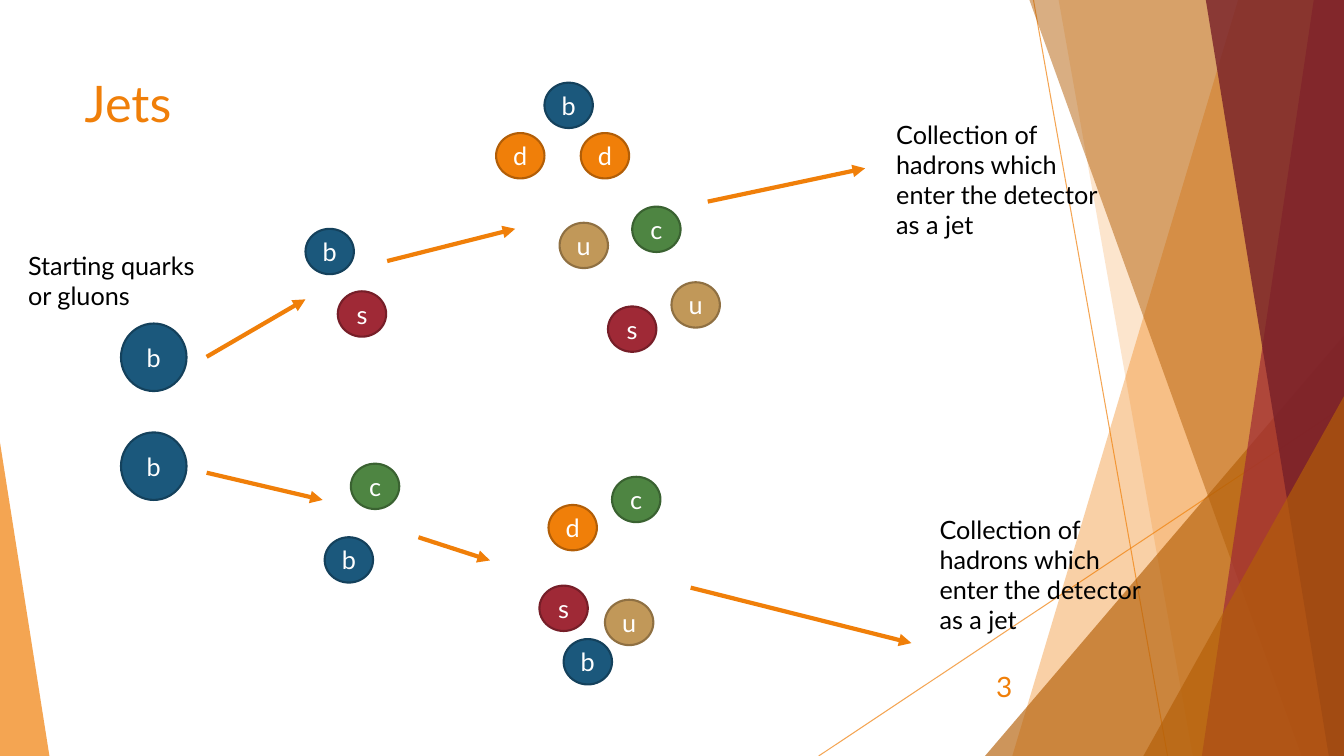
from lxml.etree import SubElement
from pptx import Presentation
from pptx.dml.color import RGBColor
from pptx.enum.shapes import MSO_CONNECTOR, MSO_SHAPE
from pptx.enum.text import MSO_ANCHOR, PP_ALIGN
from pptx.oxml.ns import qn
from pptx.util import Inches, Pt

FONT = "Lato"
ORANGE, BROWN, RED, MAROON = "F07F09", "B45F07", "9F2936", "771F28"
FLAVOURS = {
    "b": ("1B587C", "14415C"),
    "c": ("4E8542", "3A6231"),
    "d": (ORANGE, "B25E07"),
    "s": (RED, "761E28"),
    "u": ("C19859", "8F7042"),
}
STARTING_QUARKS = [("b", 1.2, 3.21), ("b", 1.2, 4.29)]
SHOWER_QUARKS = [
    ("b", 3.03, 2.27), ("s", 3.35, 2.89), ("c", 3.48, 4.6), ("b", 3.22, 5.33),
    ("b", 5.4, 0.82), ("d", 4.92, 1.32), ("d", 5.76, 1.32), ("u", 5.55, 2.21),
    ("c", 6.27, 2.05), ("s", 6.03, 3.04), ("u", 6.66, 2.8),
    ("c", 6.07, 4.73), ("d", 5.44, 5.01), ("u", 6, 5.95), ("s", 5.35, 5.81),
    ("b", 5.59, 6.34),
]
ARROWS = [
    (2.05, 3.54, 3.03, 2.97), (2.05, 4.69, 3.2, 4.96),
    (3.84, 2.59, 5.11, 2.27), (4.15, 5.33, 4.86, 5.56),
    (7.02, 2, 8.58, 1.67), (6.85, 5.83, 9.04, 6.38),
]
JET_LABEL = "Collection of hadrons which enter the detector as a jet"
LABELS = [
    ("Starting quarks or gluons", 0.18, 2.43, 2.05, 0.71),
    (JET_LABEL, 8.79, 1.13, 2.21, 1.31),
    (JET_LABEL, 9.22, 5.05, 2.21, 1.31),
]


def rgb(color):
    """Turn a hex string into a colour."""
    return RGBColor.from_string(color)


def set_alpha(fill, color, opacity):
    """Make a fill solid with the given opacity in percent."""
    fill.solid()
    fill.fore_color.rgb = rgb(color)
    if opacity < 100:
        clr = fill._xPr.find(qn("a:solidFill"))[0]
        SubElement(clr, qn("a:alpha"), val=str(opacity * 1000))


def style_text(tf, text, size, color, align=PP_ALIGN.LEFT, anchor=MSO_ANCHOR.TOP):
    """Fill a text frame with one formatted paragraph."""
    tf.text = text
    tf.word_wrap = True
    tf.vertical_anchor = anchor
    p = tf.paragraphs[0]
    p.alignment = align
    font = p.runs[0].font
    font.name, font.size, font.color.rgb = FONT, Pt(size), rgb(color)


def add_label(s, text, x, y, w, h, size=18, color="000000", **layout):
    """Add a text box."""
    sp = s.shapes.add_textbox(Inches(x), Inches(y), Inches(w), Inches(h))
    style_text(sp.text_frame, text, size, color, **layout)


def add_quark(s, flavour, x, y, w, h):
    """Add a circle coloured and lettered by quark flavour."""
    sp = s.shapes.add_shape(MSO_SHAPE.OVAL, Inches(x), Inches(y), Inches(w), Inches(h))
    sp.shadow.inherit = False
    fill, outline = FLAVOURS[flavour]
    set_alpha(sp.fill, fill, 100)
    sp.line.color.rgb = rgb(outline)
    sp.line.width = Pt(1.5)
    tf = sp.text_frame
    tf.margin_left = tf.margin_right = 0
    style_text(tf, flavour, 18, "FFFFFF", PP_ALIGN.CENTER, MSO_ANCHOR.MIDDLE)


def add_line(s, x1, y1, x2, y2, width, opacity=100):
    """Add an orange straight line."""
    cn = s.shapes.add_connector(
        MSO_CONNECTOR.STRAIGHT, Inches(x1), Inches(y1), Inches(x2), Inches(y2))
    set_alpha(cn.line.fill, ORANGE, opacity)
    cn.line.width = Pt(width)
    SubElement(cn._element.spPr, qn("a:effectLst"))
    return cn


def add_arrow(s, *ends):
    """Add a thick line with a triangular head at its end."""
    cn = add_line(s, *ends, width=3)
    ln = cn.line._get_or_add_ln()
    SubElement(ln, qn("a:round"))
    SubElement(ln, qn("a:tailEnd"), type="triangle")


def style_facet(sp, color, opacity):
    """Give a background facet a translucent fill and no outline."""
    sp.shadow.inherit = False
    set_alpha(sp.fill, color, opacity)
    sp.line.fill.background()


def add_band(s, top, bottom, color, opacity):
    """Add a full-height facet reaching from a slanted edge to the right side."""
    corners = [(top, 0), (13.33, 0), (13.33, 7.5), (bottom, 7.5)]
    points = [(Inches(x), Inches(y)) for x, y in corners]
    fb = s.shapes.build_freeform(*points[0])
    fb.add_line_segments(points[1:])
    style_facet(fb.convert_to_shape(), color, opacity)


def add_corner(s, x, y, w, apex, color, opacity):
    """Add a right triangle standing on the bottom edge."""
    sp = s.shapes.add_shape(
        MSO_SHAPE.ISOSCELES_TRIANGLE, Inches(x), Inches(y), Inches(w), Inches(7.5 - y))
    sp.adjustments[0] = apex
    style_facet(sp, color, opacity)


def add_facets(s):
    """Draw the faceted background from back to front."""
    add_line(s, 10.25, 0, 11.58, 7.5, 0.75, 70)
    add_line(s, 13.33, 4.03, 8.12, 7.5, 0.75, 70)
    add_band(s, 12.28, 10.04, ORANGE, 36)
    add_band(s, 10.5, 11.83, ORANGE, 20)
    add_corner(s, 9.77, 3.33, 3.56, 1, BROWN, 66)
    add_band(s, 10.21, 12.91, BROWN, 50)
    add_band(s, 13.03, 11.92, RED, 70)
    add_band(s, 11.96, 13.18, MAROON, 80)
    add_corner(s, 11.34, 3.93, 1.99, 1, BROWN, 66)
    add_corner(s, 0, 4.39, 0.49, 0, ORANGE, 70)


def add_title(s, text):
    """Place and format the title placeholder."""
    sp = s.shapes.title
    sp.left, sp.top, sp.width, sp.height = map(Inches, (0.74, 0.67, 9.4, 1.44))
    style_text(sp.text_frame, text, 36, ORANGE)


def main():
    """Build the slide and save it."""
    prs = Presentation()
    prs.slide_width, prs.slide_height = Inches(13.33), Inches(7.5)
    s = prs.slides.add_slide(prs.slide_layouts[5])
    add_facets(s)
    add_title(s, "Jets")
    add_label(s, "3", 9.39, 6.61, 0.75, 0.4, 20, ORANGE,
              align=PP_ALIGN.RIGHT, anchor=MSO_ANCHOR.MIDDLE)
    for label in LABELS:
        add_label(s, *label)
    for quark in STARTING_QUARKS:
        add_quark(s, *quark, 0.65, 0.67)
    for ends in ARROWS:
        add_arrow(s, *ends)
    for quark in SHOWER_QUARKS:
        add_quark(s, *quark, 0.48, 0.45)
    prs.save("out.pptx")


if __name__ == "__main__":
    main()
